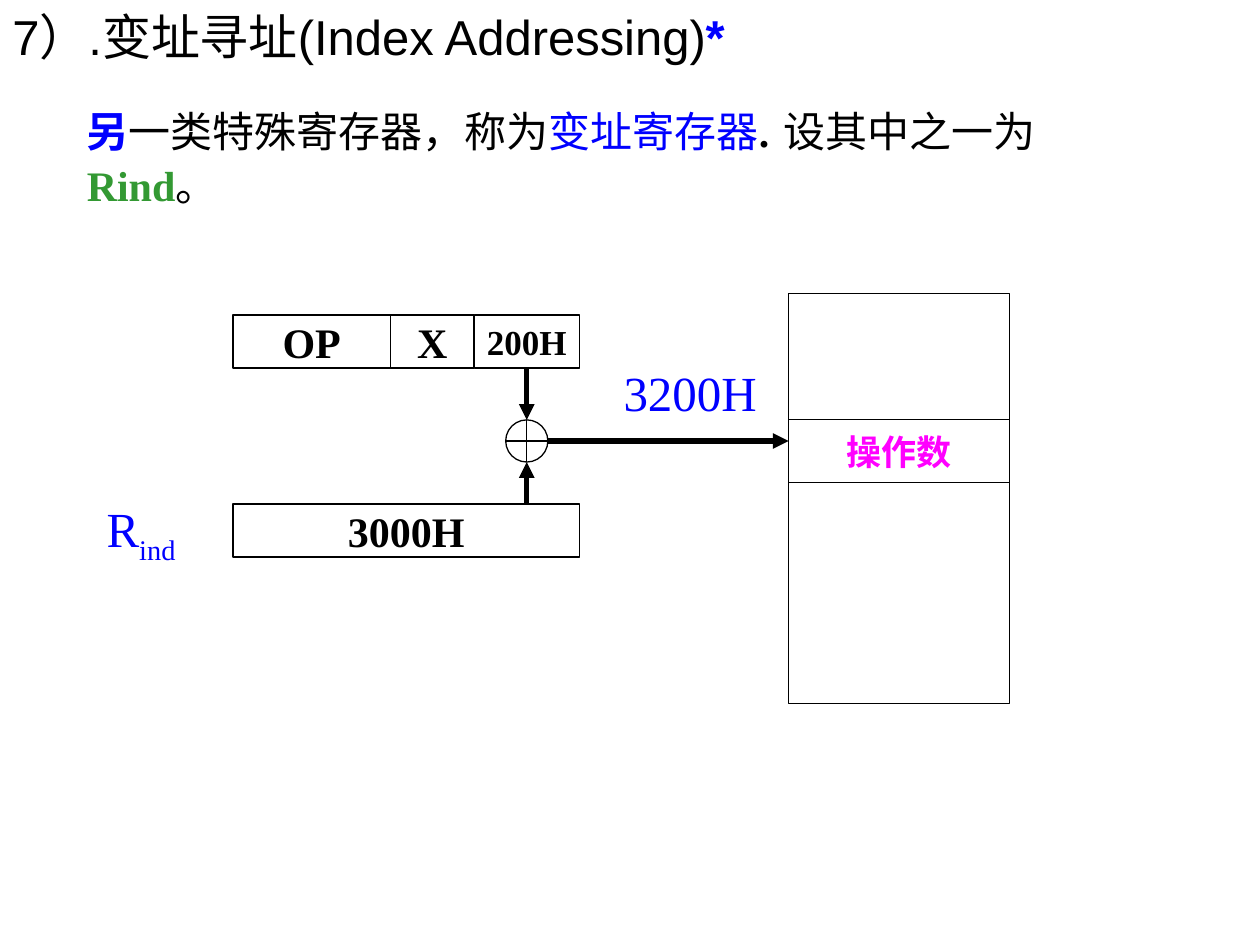
import pptx
import pptx.util
import pptx.dml.color
import pptx.enum.shapes
import pptx.enum.text
import pptx.oxml.ns
import lxml.etree

Cm = pptx.util.Cm
Pt = pptx.util.Pt
Kind = pptx.enum.shapes.MSO_SHAPE
Align = pptx.enum.text.PP_ALIGN
Anchor = pptx.enum.text.MSO_ANCHOR
qn = pptx.oxml.ns.qn

BLACK, BLUE, GREEN, PINK = "000000", "0000FF", "339933", "FF00FF"
SERIF = "Times New Roman"

# text, size, colour, bold
title = [("7）.变址寻址(Index Addressing)", 28, BLACK, False),
         ("*", 28, BLUE, True)]
intro = [("另", 24, BLUE, True),
         ("一类特殊寄存器，称为", 24, BLACK, False),
         ("变址寄存器", 24, BLUE, False),
         (".", 24, BLACK, True),
         (" ", 32, BLUE, True),
         ("设其中之一为", 24, BLACK, False),
         ("Rind", 24, GREEN, True),
         ("。", 24, BLACK, False)]
index = [("R", 28, BLUE, False), ("ind", 28, BLUE, False)]
total = [("3200H", 28, BLUE, False)]

# left, top, width, height, runs, font
texts = [(0, 0, 16.3, 1.52, title, "Arial"),
         (1.5, 1.73, 22, 2.64, intro, SERIF),
         (1.9, 9.93, 2.4, 1.6, index, SERIF),
         (12.32, 7.19, 3.38, 1.45, total, SERIF)]

# width, text, size
fields = [(3.17, "OP", 24), (1.69, "X", 24), (2.12, "200H", 20)]
# height, text
cells = [(2.54, ""), (1.27, "操作数"), (4.45, "")]

LEFT, TOP, HIGH = 4.7, 6.35, 1.07
BASE = 10.16
MEM, ROOF, WIDE = 15.9, 5.92, 4.45
MID, AXIS, RING = 10.62, 8.89, 0.85

deck = pptx.Presentation()
deck.slide_width, deck.slide_height = Cm(25.4), Cm(19.05)
slide = deck.slides.add_slide(deck.slide_layouts[6])
shapes = slide.shapes


def color(code):
    return pptx.dml.color.RGBColor.from_string(code)


def style(font, size, code, bold, name=SERIF):
    font.name, font.size, font.bold = name, Pt(size), bold
    font.color.rgb = color(code)


def label(x, y, w, h, runs, name):
    frame = shapes.add_textbox(Cm(x), Cm(y), Cm(w), Cm(h)).text_frame
    frame.word_wrap = True
    para = frame.paragraphs[0]
    for text, size, code, bold in runs:
        run = para.add_run()
        run.text = text
        style(run.font, size, code, bold, name)
    return para


def block(x, y, w, h, text="", size=24, code=BLACK, kind=Kind.RECTANGLE):
    shape = shapes.add_shape(kind, Cm(x), Cm(y), Cm(w), Cm(h))
    shape.shadow.inherit = False
    shape.fill.solid()
    shape.fill.fore_color.rgb = color("FFFFFF")
    shape.line.color.rgb = color(BLACK)
    shape.line.width = Pt(0.75)
    if text:
        frame = shape.text_frame
        frame.word_wrap = False
        frame.vertical_anchor = Anchor.MIDDLE
        para = frame.paragraphs[0]
        para.text = text
        para.alignment = Align.CENTER
        style(para.font, size, code, True)


def arrow(x1, y1, x2, y2):
    link = shapes.add_connector(pptx.enum.shapes.MSO_CONNECTOR.STRAIGHT,
                                Cm(x1), Cm(y1), Cm(x2), Cm(y2))
    link.line.color.rgb = color(BLACK)
    link.line.width = Pt(3)
    line = link.line._get_or_add_ln()
    lxml.etree.SubElement(line, qn("a:tailEnd"), type="triangle")
    lxml.etree.SubElement(link._element.spPr, qn("a:effectLst"))


paras = [label(*item) for item in texts]
paras[2].runs[1].font._element.set("baseline", "-25000")

x = LEFT
for w, text, size in fields:
    block(x, TOP, w, HIGH, text, size)
    x += w
block(LEFT, BASE, x - LEFT, HIGH, "3000H")

y = ROOF
for h, text in cells:
    block(MEM, y, WIDE, h, text, 20, PINK)
    y += h

half = RING / 2
block(MID - half, AXIS - half, RING, RING, kind=Kind.FLOWCHART_OR)
arrow(MID + half, AXIS, MEM, AXIS)
arrow(MID, TOP + HIGH, MID, AXIS - half)
arrow(MID, BASE, MID, AXIS + half)

deck.save("out.pptx")
